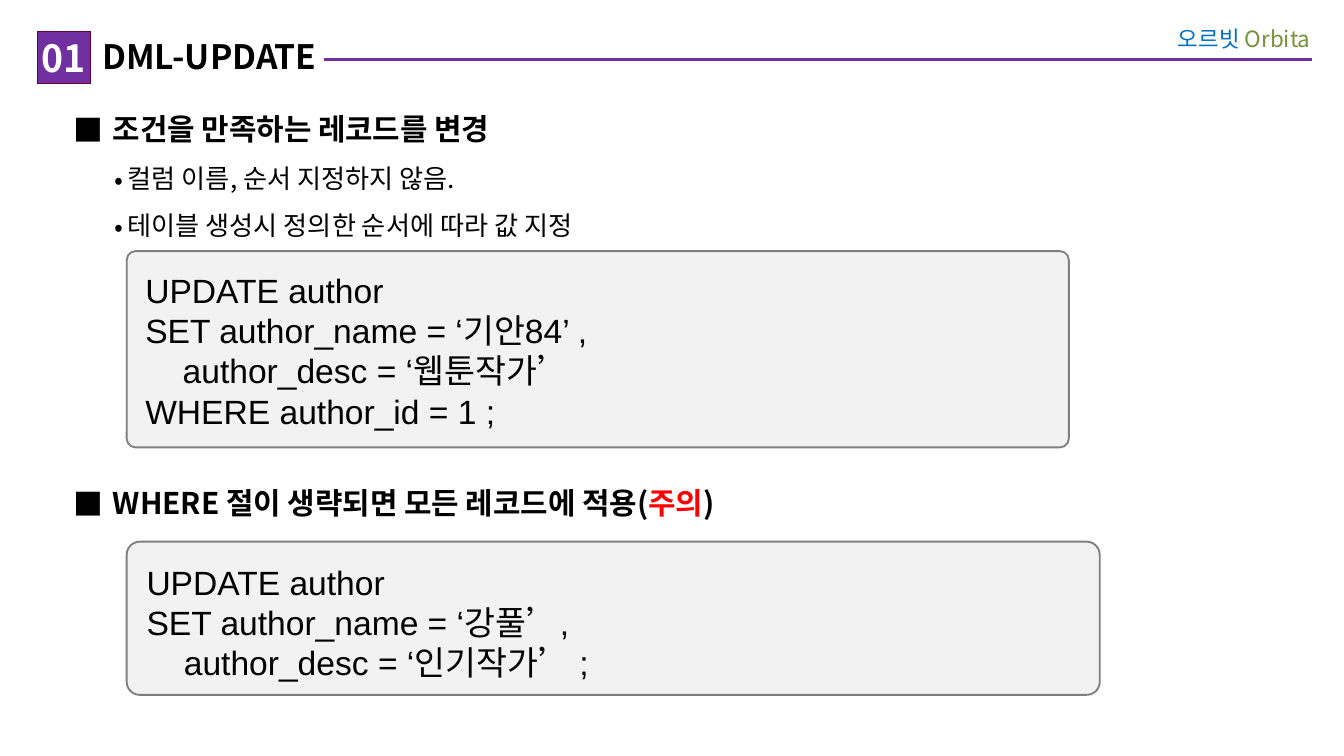
from lxml.etree import SubElement
from pptx import Presentation
from pptx.dml.color import RGBColor
from pptx.enum.shapes import MSO_CONNECTOR, MSO_SHAPE
from pptx.enum.text import MSO_ANCHOR, PP_ALIGN
from pptx.oxml.ns import qn
from pptx.util import Pt

KOREAN_FONT = "Noto Sans CJK KR"
PURPLE = "7030A0"


def color(hex_code):
    return RGBColor.from_string(hex_code)


def add_span(para, text, size=18, font=KOREAN_FONT, hex_code="000000", bold=False):
    span = para.add_run()
    span.text = text
    span.font.size = Pt(size)
    span.font.name = font
    span.font.bold = bold
    span.font.color.rgb = color(hex_code)
    properties = span.font._element
    SubElement(properties, qn("a:ea"), typeface=KOREAN_FONT)


def set_indent(para, left, first=0):
    properties = para._p.get_or_add_pPr()
    properties.set("marL", str(Pt(left)))
    properties.set("indent", str(Pt(first)))
    return properties


def set_bullet(para, symbol, left, hanging):
    para.line_spacing = 1.5
    properties = set_indent(para, left, -hanging)
    bullet_color = SubElement(properties, qn("a:buClr"))
    SubElement(bullet_color, qn("a:srgbClr"), val="000000")
    SubElement(properties, qn("a:buFont"), typeface=KOREAN_FONT)
    SubElement(properties, qn("a:buChar"), char=symbol)


def set_frame(box, left, top, right, bottom, anchor=MSO_ANCHOR.TOP):
    """Set the insets and wrapping, and return the text frame."""
    frame = box.text_frame
    frame.word_wrap = True
    frame.vertical_anchor = anchor
    frame.margin_left, frame.margin_top = Pt(left), Pt(top)
    frame.margin_right, frame.margin_bottom = Pt(right), Pt(bottom)
    return frame


def add_text_box(slide, left, top, width, height, insets):
    box = slide.shapes.add_textbox(Pt(left), Pt(top), Pt(width), Pt(height))
    return box, set_frame(box, *insets)


def add_panel(slide, kind, left, top, width, height, fill, line, line_width):
    panel = slide.shapes.add_shape(kind, Pt(left), Pt(top), Pt(width), Pt(height))
    panel.shadow.inherit = False
    panel.fill.solid()
    panel.fill.fore_color.rgb = color(fill)
    panel.line.color.rgb = color(line)
    panel.line.width = Pt(line_width)
    return panel


def add_rule(slide, left, right, y):
    rule = slide.shapes.add_connector(
        MSO_CONNECTOR.STRAIGHT, Pt(right), Pt(y), Pt(left), Pt(y))
    rule.line.color.rgb = color(PURPLE)
    rule.line.width = Pt(1.5)
    SubElement(rule._element.spPr, qn("a:effectLst"))


def add_header(slide, number, title):
    add_rule(slide, 51.1, 702.7, 31.8)

    _, frame = add_text_box(slide, 598.3, 7.9, 110.9, 25.9, (7.2, 5.8, 7.2, 5.8))
    para = frame.paragraphs[0]
    para.alignment = PP_ALIGN.RIGHT
    add_span(para, "오르빗 ", size=12, hex_code="0070C0")
    add_span(para, "Orbita", size=12, hex_code="77933C")

    box, frame = add_text_box(slide, 49, 16.6, 124.6, 27.4, (5.8, 2.9, 0, 2.9))
    box.fill.solid()
    box.fill.fore_color.rgb = color("FFFFFF")
    add_span(frame.paragraphs[0], title, bold=True)

    badge = add_panel(slide, MSO_SHAPE.RECTANGLE, 20.2, 16.6, 28.1, 28.1,
                      PURPLE, "660033", 0.25)
    para = set_frame(badge, 0, 0, 0, 0, MSO_ANCHOR.MIDDLE).paragraphs[0]
    para.alignment = PP_ALIGN.CENTER
    add_span(para, number, size=20, hex_code="FFFFFF", bold=True)


def add_topic(slide, top, height, heading, details=()):
    """Add a heading, given as (text, colour) pairs, with bulleted details."""
    _, frame = add_text_box(slide, 31, top, 668.9, height, (8.6, 0, 7.2, 3.6))
    para = frame.paragraphs[0]
    set_bullet(para, "■", 20.9, 20.9)
    for text, hex_code in heading:
        add_span(para, text, size=16, hex_code=hex_code, bold=True)
    for detail in details:
        para = frame.add_paragraph()
        para.level = 1
        set_bullet(para, "•", 28.8, 7.2)
        add_span(para, detail, size=14)


def add_code(slide, top, width, height, corner, lines):
    """Add a code panel from (indent, text) lines."""
    panel = add_panel(slide, MSO_SHAPE.ROUNDED_RECTANGLE, 67.9, top, width, height,
                      "F2F2F2", "7F7F7F", 1)
    panel.adjustments[0] = corner
    frame = set_frame(panel, 8.6, 8.6, 8.6, 8.6)
    for index, (indent, text) in enumerate(lines):
        para = frame.add_paragraph() if index else frame.paragraphs[0]
        para.alignment = PP_ALIGN.LEFT
        set_indent(para, indent)
        add_span(para, text, font="Arial")


def main():
    deck = Presentation()
    deck.slide_width, deck.slide_height = Pt(720), Pt(405)
    slide = deck.slides.add_slide(deck.slide_layouts[6])

    add_header(slide, "01", "DML-UPDATE")
    add_topic(slide, 49.7, 85,
              [("조건을 만족하는 레코드를 변경", "000000")],
              ["컬럼 이름, 순서 지정하지 않음.",
               "테이블 생성시 정의한 순서에 따라 값 지정"])
    add_code(slide, 134.6, 504.7, 105.1, 0.045, [
        (0, "UPDATE author"),
        (20, "SET author_name = ‘기안84’ ,")[:0] or (0, "SET author_name = ‘기안84’ ,"),
        (20, "author_desc = ‘웹툰작가’"),
        (0, "WHERE author_id = 1 ;"),
    ])
    add_topic(slide, 250.1, 36,
              [("WHERE 절이 생략되면 모든 레코드에 적용(", "000000"),
               ("주의", "FF0000"), (")", "000000")])
    add_code(slide, 290.2, 521.3, 82.1, 0.085, [
        (0, "UPDATE author"),
        (0, "SET author_name = ‘강풀’,"),
        (20, "author_desc = ‘인기작가’ ;"),
    ])
    deck.save("out.pptx")


if __name__ == "__main__":
    main()
